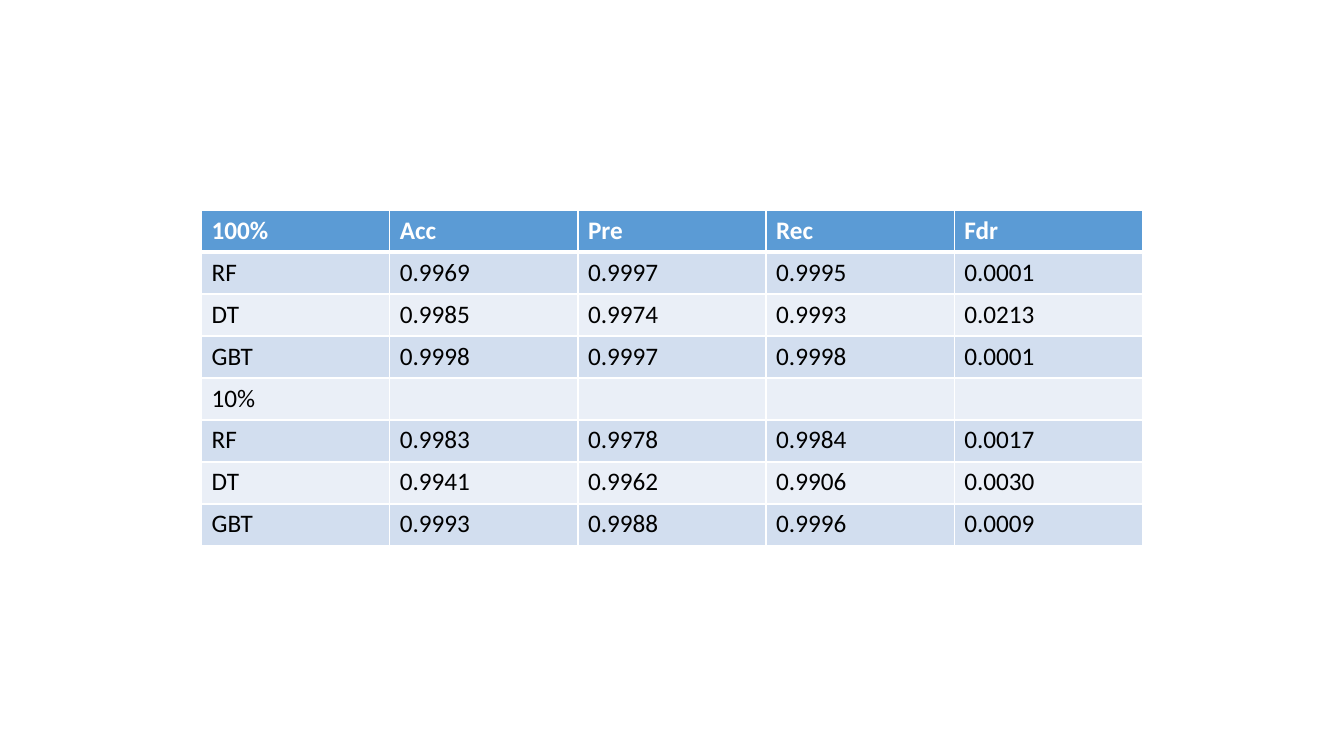
from dataclasses import dataclass

from lxml import etree
from pptx import Presentation
from pptx import util as u
from pptx.dml.color import RGBColor
from pptx.oxml import ns
from pptx.table import _Cell

WHITE = RGBColor(0xFF, 0xFF, 0xFF)
BLACK = RGBColor(0x00, 0x00, 0x00)
BLUE = RGBColor(0x5B, 0x9B, 0xD5)
BAND_DARK = RGBColor(0xD2, 0xDE, 0xEF)
BAND_LIGHT = RGBColor(0xEA, 0xEF, 0xF7)

SLIDE_W, SLIDE_H = u.Inches(13.33), u.Inches(7.5)

# Grid as shares of the slide
LEFT = 0.15
COL_W = 0.14
ROW_H = 1 / 18
TOP_ROWS = 5

THIN, THICK = u.Pt(1), u.Pt(3)

ROWS = [
    ("100%", "Acc", "Pre", "Rec", "Fdr"),
    ("RF", "0.9969", "0.9997", "0.9995", "0.0001"),
    ("DT", "0.9985", "0.9974", "0.9993", "0.0213"),
    ("GBT", "0.9998", "0.9997", "0.9998", "0.0001"),
    ("10%", "", "", "", ""),
    ("RF", "0.9983", "0.9978", "0.9984", "0.0017"),
    ("DT", "0.9941", "0.9962", "0.9906", "0.0030"),
    ("GBT", "0.9993", "0.9988", "0.9996", "0.0009"),
]


@dataclass(frozen=True)
class RowStyle:
    fill: RGBColor
    color: RGBColor = BLACK
    bold: bool = False
    top: int = THIN
    bottom: int = THIN


HEADER = RowStyle(BLUE, WHITE, bold=True, bottom=THICK)
FIRST = RowStyle(BAND_DARK, top=THICK)
BANDS = (RowStyle(BAND_LIGHT), RowStyle(BAND_DARK))


def row_style(row: int) -> RowStyle:
    return {0: HEADER, 1: FIRST}.get(row, BANDS[row % 2])


def add_border(cell: _Cell, side: str, width: int) -> None:
    tc_pr = cell._tc.get_or_add_tcPr()
    ln = etree.SubElement(tc_pr, ns.qn(f"a:ln{side}"), w=str(width))
    fill = etree.SubElement(ln, ns.qn("a:solidFill"))
    etree.SubElement(fill, ns.qn("a:srgbClr"), val=str(WHITE))


def draw_cell(cell: _Cell, value: str, style: RowStyle) -> None:
    # Borders go before the fill in the cell properties
    for side, width in (("L", THIN), ("R", THIN), ("T", style.top), ("B", style.bottom)):
        add_border(cell, side, width)
    cell.fill.solid()
    cell.fill.fore_color.rgb = style.fill

    p = cell.text_frame.paragraphs[0]
    p.font.name = "Calibri"
    p.font.size = u.Pt(18)
    p.font.bold = style.bold
    p.font.color.rgb = style.color
    if value:
        p.add_run().text = value


def main() -> None:
    prs = Presentation()
    prs.slide_width, prs.slide_height = SLIDE_W, SLIDE_H
    s = prs.slides.add_slide(prs.slide_layouts[6])

    # Results table
    n_rows, n_cols = len(ROWS), len(ROWS[0])
    col_w, row_h = int(SLIDE_W * COL_W), int(SLIDE_H * ROW_H)
    table = s.shapes.add_table(
        n_rows, n_cols, int(SLIDE_W * LEFT), TOP_ROWS * row_h,
        n_cols * col_w, n_rows * row_h,
    ).table
    for row, values in enumerate(ROWS):
        for col, value in enumerate(values):
            draw_cell(table.cell(row, col), value, row_style(row))

    prs.save("out.pptx")


if __name__ == "__main__":
    main()
